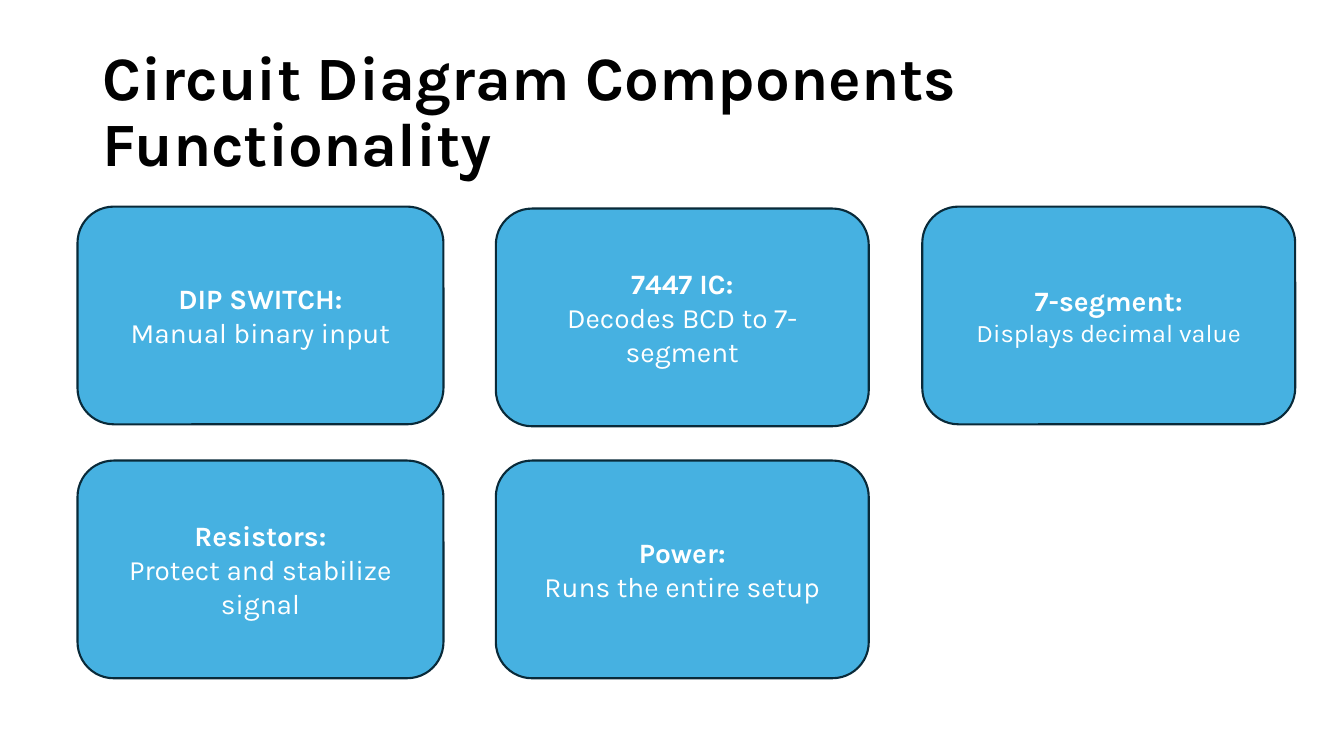
from pptx import Presentation
from pptx.dml.color import RGBColor
from pptx.enum.shapes import MSO_SHAPE
from pptx.enum.text import MSO_ANCHOR, PP_ALIGN
from pptx.util import Pt

BLACK = RGBColor(0x00, 0x00, 0x00)
WHITE = RGBColor(0xFF, 0xFF, 0xFF)
BLUE = RGBColor(0x46, 0xB1, 0xE1)
NAVY = RGBColor(0x09, 0x2A, 0x39)
FONT = "Karla"

COLS = [(55.4, 261.4), (354.2, 266.4), (658.8, 266.4)]  # left, width
ROWS = [147.6, 329]
HIGH = 155.5

# column, row, drop below the row line, name, role, role size
PARTS = [
    (0, 0, 0, "DIP SWITCH:", "Manual binary input", 20),
    (1, 0, 1.4, "7447 IC:", "Decodes BCD to 7-segment", 20),
    (2, 0, 0, "7-segment:", "Displays decimal value", 18),
    (0, 1, 0, "Resistors:", "Protect and stabilize signal", 20),
    (1, 1, 0, "Power:", "Runs the entire setup", 20),
]


def add_run(para, text, size, color, bold):
    run = para.add_run()
    run.text = text
    font = run.font
    font.name, font.size, font.bold = FONT, Pt(size), bold
    font.color.rgb = color


def add_title(slide, box, text):
    frame = slide.shapes.add_textbox(*map(Pt, box)).text_frame
    frame.word_wrap = True
    frame.vertical_anchor = MSO_ANCHOR.MIDDLE
    para = frame.paragraphs[0]
    para.line_spacing = 0.9
    add_run(para, text, 44, BLACK, True)


def add_card(slide, box, name, role, size):
    """Draw a rounded card with a bold name above its role."""
    card = slide.shapes.add_shape(MSO_SHAPE.ROUNDED_RECTANGLE, *map(Pt, box))
    card.shadow.inherit = False
    card.fill.solid()
    card.fill.fore_color.rgb = BLUE
    card.line.color.rgb = NAVY
    card.line.width = Pt(1.5)
    frame = card.text_frame
    frame.word_wrap = True
    frame.vertical_anchor = MSO_ANCHOR.MIDDLE
    head, body = frame.paragraphs[0], frame.add_paragraph()
    head.alignment = body.alignment = PP_ALIGN.CENTER
    add_run(head, name, 20, WHITE, True)
    add_run(body, role, size, WHITE, False)


def main():
    deck = Presentation()
    deck.slide_width, deck.slide_height = Pt(960), Pt(540)
    slide = deck.slides.add_slide(deck.slide_layouts[6])
    add_title(slide, (66, 28.8, 828, 104.4),
              "Circuit Diagram Components Functionality")
    for col, row, drop, name, role, size in PARTS:
        left, width = COLS[col]
        add_card(slide, (left, ROWS[row] + drop, width, HIGH),
                 name, role, size)
    deck.save("out.pptx")


if __name__ == "__main__":
    main()
